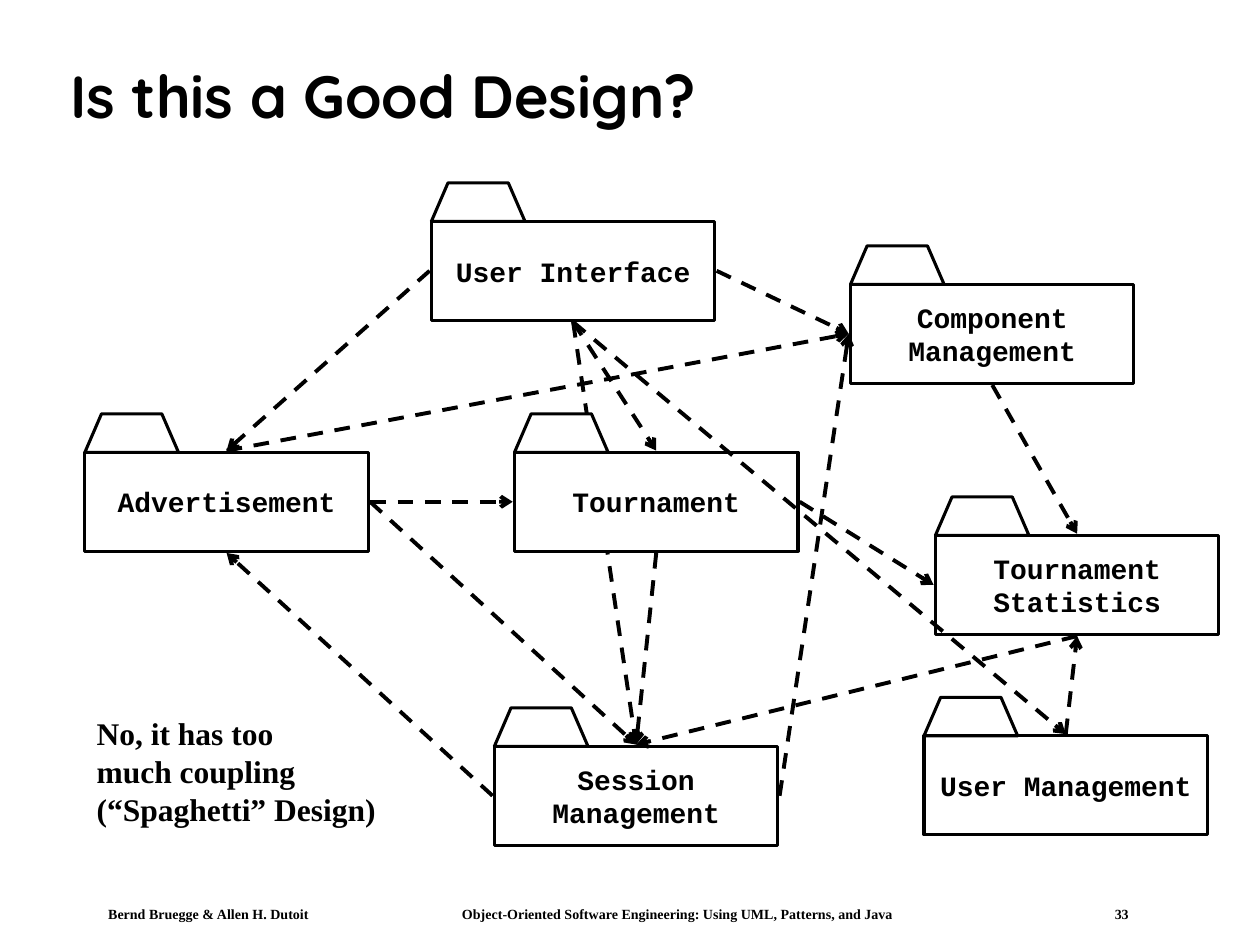
from lxml import etree
from pptx import Presentation
from pptx.dml.color import RGBColor
from pptx.enum import dml, shapes, text
from pptx.oxml import ns
from pptx.util import Pt


def ink(code):
    return RGBColor.from_string(code)


def write(shape, lines, font, size, align="LEFT", anchor="TOP", wrap=True,
          pad=(7.2, 3.6), space=1.0, tabs=()):
    """Fill a shape with one bold paragraph per line; tabs are stops in points."""
    frame = shape.text_frame
    frame.word_wrap = wrap
    frame.vertical_anchor = text.MSO_ANCHOR[anchor]
    frame.margin_left = frame.margin_right = Pt(pad[0])
    frame.margin_top = frame.margin_bottom = Pt(pad[1])
    for i, line in enumerate(lines):
        para = frame.add_paragraph() if i else frame.paragraphs[0]
        para.alignment = text.PP_ALIGN[align]
        para.line_spacing = space
        if tabs:
            stops = etree.SubElement(para._p.get_or_add_pPr(), ns.qn("a:tabLst"))
            for stop in tabs:
                etree.SubElement(stops, ns.qn("a:tab"), pos=str(Pt(stop)), algn="l")
        run = para.add_run()
        run.text = line
        run.font.name, run.font.size, run.font.bold = font, Pt(size), True
        run.font.color.rgb = ink("000000")


deck = Presentation()
deck.slide_width, deck.slide_height = Pt(720), Pt(540)
slide = deck.slides.add_slide(deck.slide_layouts[6])
draw = slide.shapes

foot = draw.add_textbox(Pt(56), Pt(514.8), Pt(596), Pt(15))
write(foot, ["Bernd Bruegge & Allen H. Dutoit\tObject-Oriented Software Engineering: "
             "Using UML, Patterns, and Java\t33"],
      "Times New Roman", 8, anchor="MIDDLE", pad=(5.8, 2.9), tabs=(202.2, 575.2))

title = draw.add_textbox(Pt(33), Pt(22.3), Pt(663), Pt(68.4))
write(title, ["Is this a Good Design?"], "Quicksand", 34, anchor="MIDDLE", space=0.9)

# Left and top of each package body
wide, high, gap = 162, 56.5, 1
packs = {
    "Advertisement": (48.5, 258.5),
    "User Interface": (246.5, 126.5),
    "Session Management": (282.5, 426.5),
    "User Management": (528, 420.5),
    "Tournament Statistics": (534.5, 306),
    "Component Management": (486, 162.5),
    "Tournament": (294, 258.5),
}
ports = {
    "left": (-gap, high / 2),
    "right": (wide + gap, high / 2),
    "top": (wide / 2, -gap),
    "bottom": (wide / 2, high + gap),
}
back = [
    ("User Interface", "right", "Component Management", "left"),
    ("User Interface", "bottom", "Session Management", "top"),
    ("Tournament", "right", "Tournament Statistics", "left"),
    ("Tournament", "bottom", "Session Management", "top"),
    ("User Interface", "bottom", "Tournament", "top"),
    ("Advertisement", "right", "Tournament", "left"),
    ("Advertisement", "right", "Session Management", "top"),
    ("Component Management", "bottom", "Tournament Statistics", "top"),
    ("User Management", "top", "Tournament Statistics", "bottom"),
    ("Tournament Statistics", "bottom", "Session Management", "top"),
]
front = [
    ("Session Management", "right", "Component Management", "left"),
    ("Session Management", "left", "Advertisement", "bottom"),
    ("User Interface", "left", "Advertisement", "top"),
    ("Advertisement", "top", "Component Management", "left"),
    ("User Interface", "bottom", "User Management", "top"),
]

for links in (back, front):
    for start, out, end, into in links:
        ends = [Pt(spot + shift)
                for name, side in ((start, out), (end, into))
                for spot, shift in zip(packs[name], ports[side])]
        link = draw.add_connector(shapes.MSO_CONNECTOR.STRAIGHT, *ends)
        link.line.color.rgb = ink("000000")
        link.line.width = Pt(2.25)
        link.line.dash_style = dml.MSO_LINE.DASH
        etree.SubElement(link.line._get_or_add_ln(), ns.qn("a:tailEnd"), type="arrow")
        etree.SubElement(link._element.spPr, ns.qn("a:effectLst"))

    if links is front:
        continue
    # Packages lie between the two sets of links
    for name, (x, y) in packs.items():
        group = draw.add_group_shape().shapes
        body = group.add_shape(shapes.MSO_SHAPE.RECTANGLE, Pt(x), Pt(y), Pt(wide), Pt(high))
        write(body, [name], "Courier New", 16, align="CENTER", anchor="MIDDLE")
        pen = group.build_freeform(Pt(x), Pt(y))
        pen.add_line_segments([(Pt(x + dx), Pt(y + dy))
                               for dx, dy in ((9.5, -22), (44, -22), (53.5, 0))])
        for part in (body, pen.convert_to_shape()):
            part.shadow.inherit = False
            part.line.color.rgb = ink("000000")
            part.line.width = Pt(1.75)
            if name == "Tournament":
                part.fill.solid()
                part.fill.fore_color.rgb = ink("FFFFFF")
            else:
                part.fill.background()

note = draw.add_textbox(Pt(48.2), Pt(404.6), Pt(175.7), Pt(72.7))
write(note, ["No, it has too", "much coupling", "(“Spaghetti” Design)"],
      "Times New Roman", 18, wrap=False)

deck.save("out.pptx")
